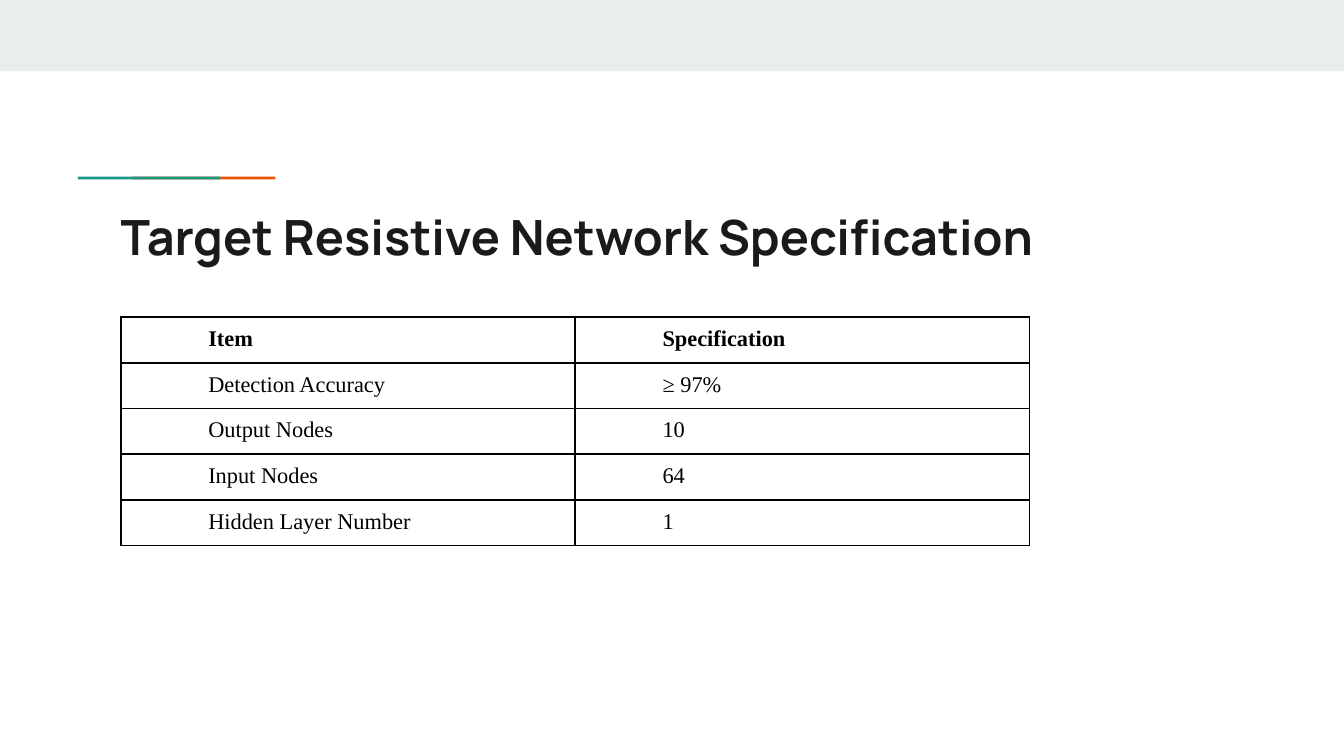
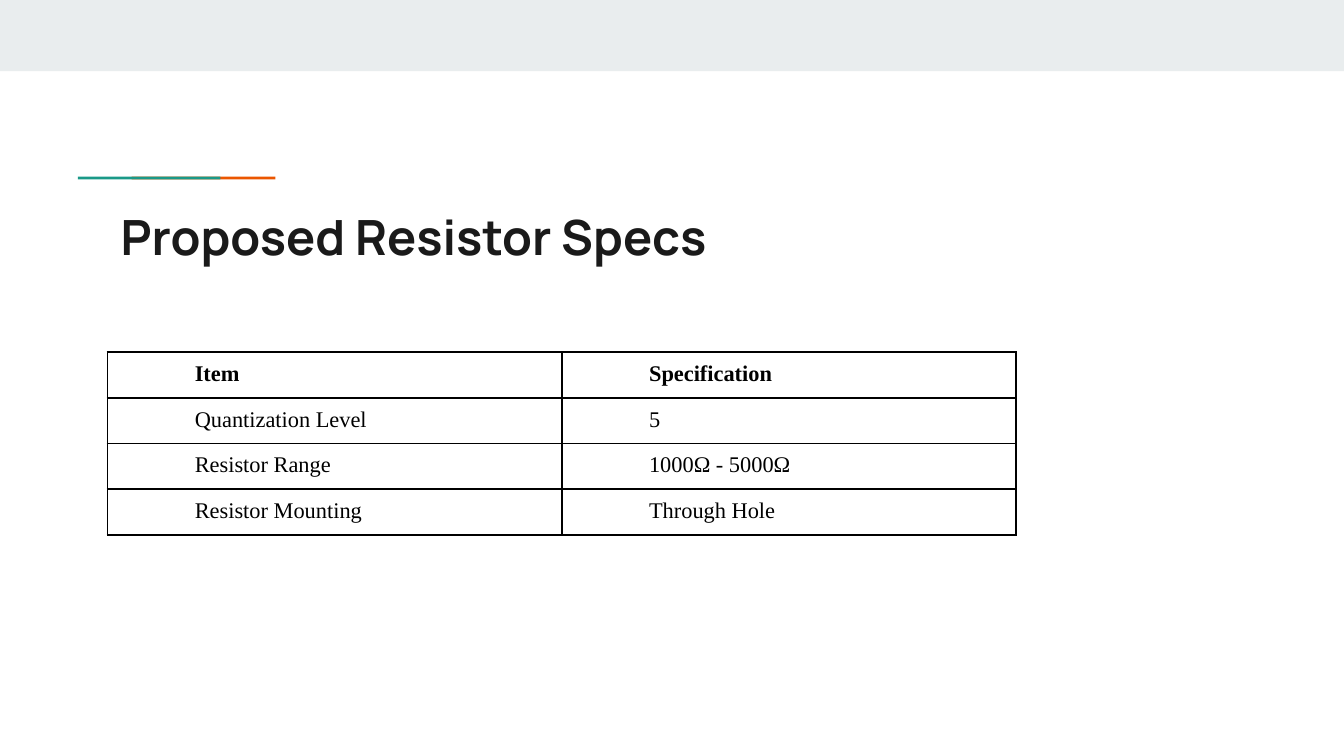
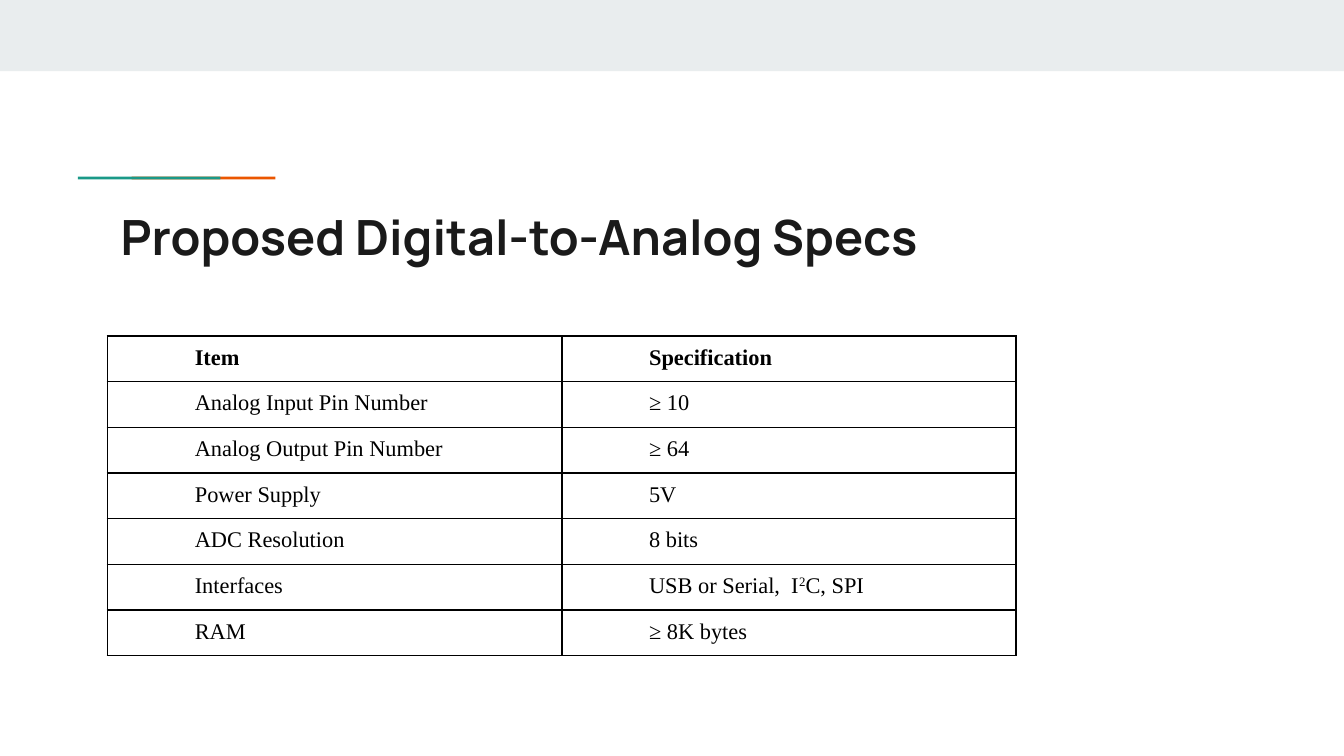
from dataclasses import dataclass

from lxml.etree import SubElement
from pptx import Presentation
from pptx.dml.color import RGBColor as RGB
from pptx.enum.shapes import MSO_SHAPE as Shape
from pptx.enum.text import MSO_ANCHOR as Anchor
from pptx.oxml.ns import qn
from pptx.util import Inches, Pt


@dataclass(frozen=True)
class Theme:
    band: str = "E9EDEE"
    teal: str = "1A9988"
    orange: str = "EB5600"
    title: str = "1A1A1A"
    ink: str = "000000"
    title_font: str = "Manrope"
    table_font: str = "Times New Roman"
    title_size: int = 26
    table_size: int = 12
    border: int = 1


class Deck:
    """Builds slides on a square grid that is 100 columns wide."""

    BLANK_LAYOUT = 6

    def __init__(self, theme):
        self.theme = theme
        self.prs = Presentation()
        self.prs.slide_width, self.prs.slide_height = Inches(10), Inches(5.625)
        self.slide = None

    def grid(self, *units):
        return [round(unit * self.prs.slide_width / 100) for unit in units]

    def add_slide(self, title):
        theme = self.theme
        self.slide = self.prs.slides.add_slide(self.prs.slide_layouts[self.BLANK_LAYOUT])
        self.bar(0, 0, 100, 5.3, theme.band)
        self.bar(9.8, 13.15, 10.7, 0.2, theme.orange)
        self.bar(5.8, 13.15, 10.6, 0.2, theme.teal)
        self.title(title)

    def bar(self, left, top, width, height, color):
        bar = self.slide.shapes.add_shape(
            Shape.RECTANGLE, *self.grid(left, top, width, height))
        bar.shadow.inherit = False
        bar.fill.solid()
        bar.fill.fore_color.rgb = RGB.from_string(color)
        bar.line.fill.background()

    def style(self, paragraph, font_name, size, color, bold):
        font = paragraph.font
        font.name, font.size, font.bold = font_name, Pt(size), bold
        font.color.rgb = RGB.from_string(color)

    def title(self, text):
        theme = self.theme
        frame = self.slide.shapes.add_textbox(*self.grid(8, 14.4, 84.1, 5.9)).text_frame
        frame.word_wrap = True
        frame.vertical_anchor = Anchor.TOP
        (frame.margin_left, frame.margin_top,
         frame.margin_right, frame.margin_bottom) = self.grid(1, 1, 1, 1)
        heading = frame.paragraphs[0]
        heading.text = text
        self.style(heading, theme.title_font, theme.title_size, theme.title, True)

    def table(self, left, top, specs, column_width=33.8, row_height=3.24):
        rows = [("Item", "Specification"), *specs]
        columns = len(rows[0])
        table = self.slide.shapes.add_table(
            len(rows), columns,
            *self.grid(left, top, columns * column_width, len(rows) * row_height)).table
        table.first_row = table.horz_banding = False
        for r, entries in enumerate(rows):
            for c, entry in enumerate(entries):
                self.cell(table.cell(r, c), entry, bold=r == 0)

    def cell(self, cell, entry, bold):
        """Fill one cell; text between ^ marks is set as superscript."""
        theme = self.theme
        (cell.margin_left, cell.margin_top,
         cell.margin_right, cell.margin_bottom) = self.grid(0.7, 0.7, 0.7, 0.7)
        self.borders(cell)
        cell.fill.background()
        paragraph = cell.text_frame.paragraphs[0]
        indent, = self.grid(5.8)
        properties = paragraph._p.get_or_add_pPr()
        properties.set("marL", "0")
        properties.set("indent", str(indent))
        self.style(paragraph, theme.table_font, theme.table_size, theme.ink, bold)
        for i, part in enumerate(entry.split("^")):
            run = paragraph.add_run()
            run.text = part
            if i % 2:
                run._r.get_or_add_rPr().set("baseline", "30000")

    def borders(self, cell):
        properties = cell._tc.get_or_add_tcPr()
        for side in ("lnL", "lnR", "lnT", "lnB"):
            line = SubElement(properties, qn(f"a:{side}"), w=str(Pt(self.theme.border)))
            fill = SubElement(line, qn("a:solidFill"))
            SubElement(fill, qn("a:srgbClr"), val=self.theme.ink)

    def save(self):
        self.prs.save("out.pptx")


def main():
    deck = Deck(Theme())

    deck.add_slide("Target Resistive Network Specification")
    deck.table(9, 23.6, [
        ("Detection Accuracy", "≥ 97%"),
        ("Output Nodes", "10"),
        ("Input Nodes", "64"),
        ("Hidden Layer Number", "1"),
    ])

    deck.add_slide("Proposed Resistor Specs")
    deck.table(8, 26.2, [
        ("Quantization Level", "5"),
        ("Resistor Range", "1000Ω - 5000Ω"),
        ("Resistor Mounting", "Through Hole"),
    ])

    deck.add_slide("Proposed Digital-to-Analog Specs")
    deck.table(8, 25, [
        ("Analog Input Pin Number", "≥ 10"),
        ("Analog Output Pin Number", "≥ 64"),
        ("Power Supply", "5V"),
        ("ADC Resolution", "8 bits"),
        ("Interfaces", "USB or Serial,  I^2^C, SPI"),
        ("RAM", "≥ 8K bytes"),
    ])

    deck.save()


if __name__ == "__main__":
    main()
